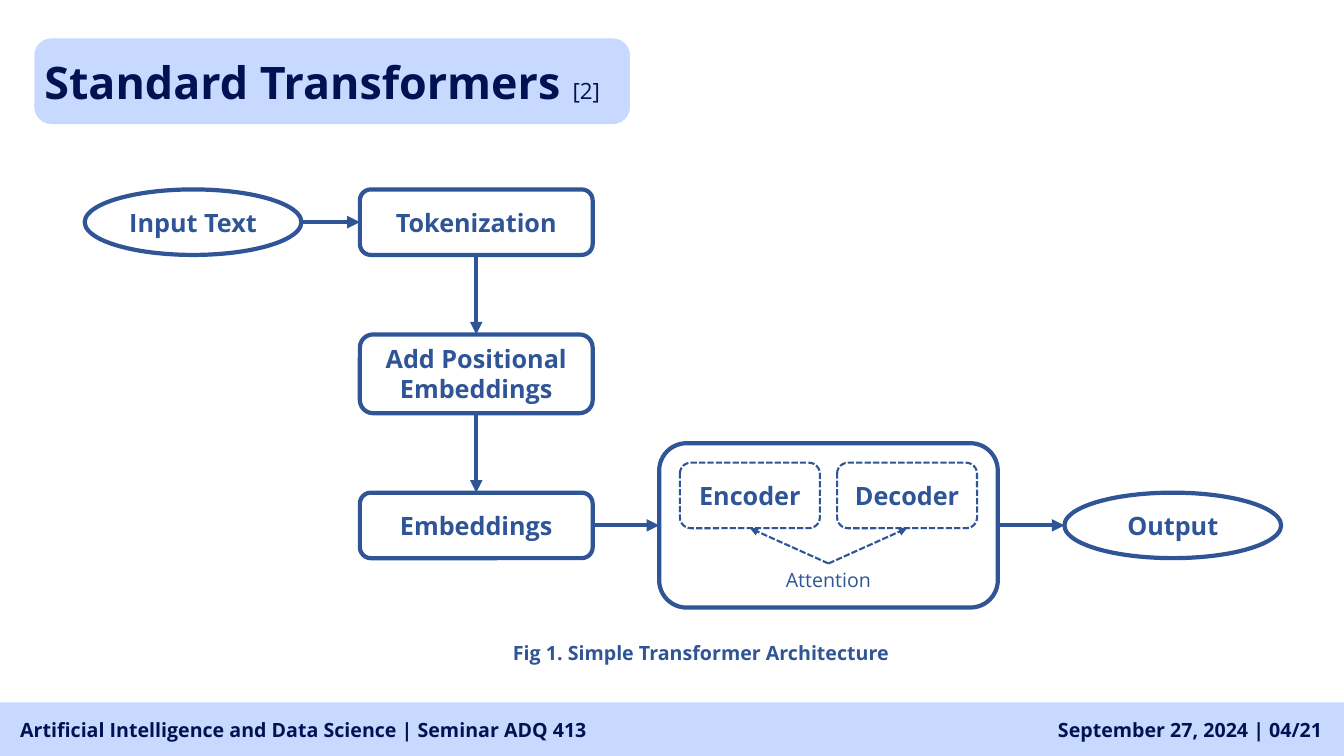
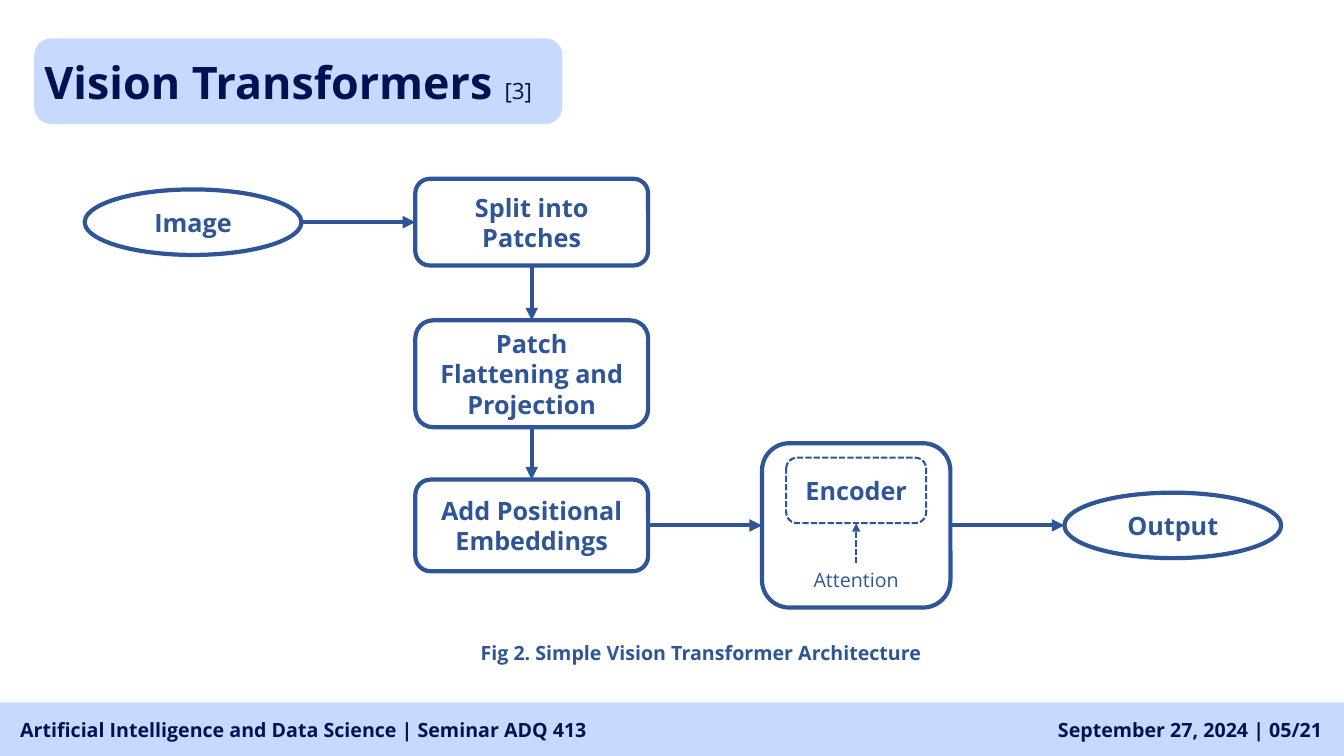
from lxml.etree import SubElement
from pptx import Presentation
from pptx.dml.color import RGBColor
from pptx.enum.dml import MSO_LINE
from pptx.enum.shapes import MSO_CONNECTOR, MSO_SHAPE
from pptx.enum.text import MSO_ANCHOR, MSO_AUTO_SIZE, PP_ALIGN
from pptx.oxml.ns import qn
from pptx.util import Pt

FONT = "Open Sans"
COLORS = {"band": "C7D9FF", "navy": "011253", "blue": "2F5597"}
ROUND, OVAL = MSO_SHAPE.ROUNDED_RECTANGLE, MSO_SHAPE.OVAL
SIDES = {ROUND: {"top": 0, "left": 1, "bottom": 2, "right": 3},
         OVAL: {"top": 0, "left": 2, "bottom": 4, "right": 6}}
OPPOSITE = {"right": "left", "bottom": "top", "top": "bottom"}

ROW_TOP, ROW_PITCH = 158.7, 108.3
ROWS = [ROW_TOP + ROW_PITCH * index for index in range(3)]
OVAL_WIDTH, STEP_WIDTH, PART_WIDTH, LOW = 154.8, 166.3, 100, 46.8
INPUT_X, OUTPUT_X = 137.9, 837.7
FOOTER_TOP, FOOTER_HEIGHT = 501.8, 38.2

SLIDES = [
    {"title": "Standard Transformers ", "reference": "[2]", "title_width": 425.5,
     "input": "Input Text", "step_x": 340.2,
     "steps": [("Tokenization", LOW), ("Add Positional Embeddings", 56.2), ("Embeddings", LOW)],
     "stack_x": 591.8, "stack_width": 241.9, "parts": ["Encoder", "Decoder"], "part_y": 353.9,
     "caption": "Fig 1. Simple Transformer Architecture", "number": "04/21"},
    {"title": "Vision Transformers ", "reference": "[3]", "title_width": 377.3,
     "input": "Image", "step_x": 379.8,
     "steps": [("Split into Patches", 61.9), ("Patch Flattening and Projection", 76.3),
               ("Add Positional Embeddings", 65.5)],
     "stack_x": 611.6, "stack_width": 134.6, "parts": ["Encoder"], "part_y": 350.3,
     "caption": "Fig 2. Simple Vision Transformer Architecture", "number": "05/21"},
]


def write(box, spans, color, align=PP_ALIGN.CENTER):
    frame = box.text_frame
    frame.word_wrap = True
    frame.auto_size = MSO_AUTO_SIZE.NONE
    frame.vertical_anchor = MSO_ANCHOR.MIDDLE
    para = frame.paragraphs[0]
    para.alignment = align
    for text, size, bold in spans:
        span = para.add_run()
        span.text = text
        span.font.name = FONT
        span.font.size = Pt(size)
        span.font.bold = bold
        span.font.color.rgb = RGBColor.from_string(COLORS[color])


def draw_line(line, weight):
    line.color.rgb = RGBColor.from_string(COLORS["blue"])
    line.width = Pt(weight)
    if weight < 3:
        line.dash_style = MSO_LINE.SQUARE_DOT


deck = Presentation()
deck.slide_width, deck.slide_height = Pt(960), Pt(540)
title_only = deck.slide_layouts[5]

for content in SLIDES:
    page = deck.slides.add_slide(title_only)
    title = page.shapes.title
    title_place = [Pt(24.5), Pt(27.4), Pt(content["title_width"]), Pt(61.2)]
    title.left, title.top, title.width, title.height = title_place
    write(title, [(content["title"], 32, True), (content["reference"], 16, False)],
          "navy", PP_ALIGN.LEFT)

    plate = page.shapes.add_shape(ROUND, *title_place)
    plate.adjustments[0] = 0.2
    title.element.addprevious(plate.element)
    footer = page.shapes.add_shape(MSO_SHAPE.RECTANGLE, 0, Pt(FOOTER_TOP),
                                   deck.slide_width, Pt(FOOTER_HEIGHT))
    footer.text_frame.margin_left = Pt(14.4)
    write(footer, [("Artificial Intelligence and Data Science | Seminar ADQ 413", 14, True)],
          "navy", PP_ALIGN.LEFT)
    for band in (plate, footer):
        band.shadow.inherit = False
        band.fill.solid()
        band.fill.fore_color.rgb = RGBColor.from_string(COLORS["band"])
        band.line.fill.background()

    nodes = [(OVAL, INPUT_X, ROWS[0], OVAL_WIDTH, LOW, content["input"], 3)]
    for (text, height), y in zip(content["steps"], ROWS):
        nodes.append((ROUND, content["step_x"], y, STEP_WIDTH, height, text, 3))
    nodes.append((ROUND, content["stack_x"], ROWS[2], content["stack_width"], 117.4, "", 3))
    nodes.append((OVAL, OUTPUT_X, ROWS[2], OVAL_WIDTH, LOW, "Output", 3))
    for index, text in enumerate(content["parts"]):
        x = content["stack_x"] + 112.3 * (index - (len(content["parts"]) - 1) / 2)
        nodes.append((ROUND, x, content["part_y"], PART_WIDTH, LOW, text, 1.5))

    shapes = []
    for kind, x, y, width, height, text, weight in nodes:
        node = page.shapes.add_shape(kind, Pt(x - width / 2), Pt(y - height / 2),
                                     Pt(width), Pt(height))
        node.shadow.inherit = False
        node.fill.background()
        draw_line(node.line, weight)
        if text:
            write(node, [(text, 18, True)], "blue")
        shapes.append(node)

    labels = [
        ("Attention", content["stack_x"] - 50, 402.5, 100, 23, False, "blue", PP_ALIGN.CENTER),
        (content["caption"], 225.4, 442.8, 550.8, 47.5, True, "blue", PP_ALIGN.CENTER),
        ("September 27, 2024 | " + content["number"], 741.6, 509, 210.2, 24.5, True, "navy",
         PP_ALIGN.RIGHT),
    ]
    label_boxes = []
    for text, left, top, width, height, bold, color, align in labels:
        label = page.shapes.add_textbox(Pt(left), Pt(top), Pt(width), Pt(height))
        write(label, [(text, 14, bold)], color, align)
        label_boxes.append(label)

    chain, parts = shapes[:6], shapes[6:]
    sides = ["right", "bottom", "bottom", "right", "right"]
    links = [(start, end, side, 3) for start, end, side in zip(chain, chain[1:], sides)]
    links += [(label_boxes[0], part, "top", 1.5) for part in parts]
    for start, end, side, weight in links:
        ends = []
        for shape, edge in ((start, side), (end, OPPOSITE[side])):
            across = {"left": 0, "right": 2}.get(edge, 1)
            down = {"top": 0, "bottom": 2}.get(edge, 1)
            ends += [shape.left + shape.width * across // 2,
                     shape.top + shape.height * down // 2]
        arrow = page.shapes.add_connector(MSO_CONNECTOR.STRAIGHT, *ends)
        draw_line(arrow.line, weight)
        SubElement(arrow.line._get_or_add_ln(), qn("a:tailEnd"), type="triangle")
        SubElement(arrow.element.spPr, qn("a:effectLst"))
        glue = arrow.element.nvCxnSpPr.cNvCxnSpPr
        for tag, shape, edge in (("a:stCxn", start, side), ("a:endCxn", end, OPPOSITE[side])):
            kind = OVAL if shape in (chain[0], chain[-1]) else ROUND
            SubElement(glue, qn(tag), id=str(shape.shape_id), idx=str(SIDES[kind][edge]))

deck.save("out.pptx")
